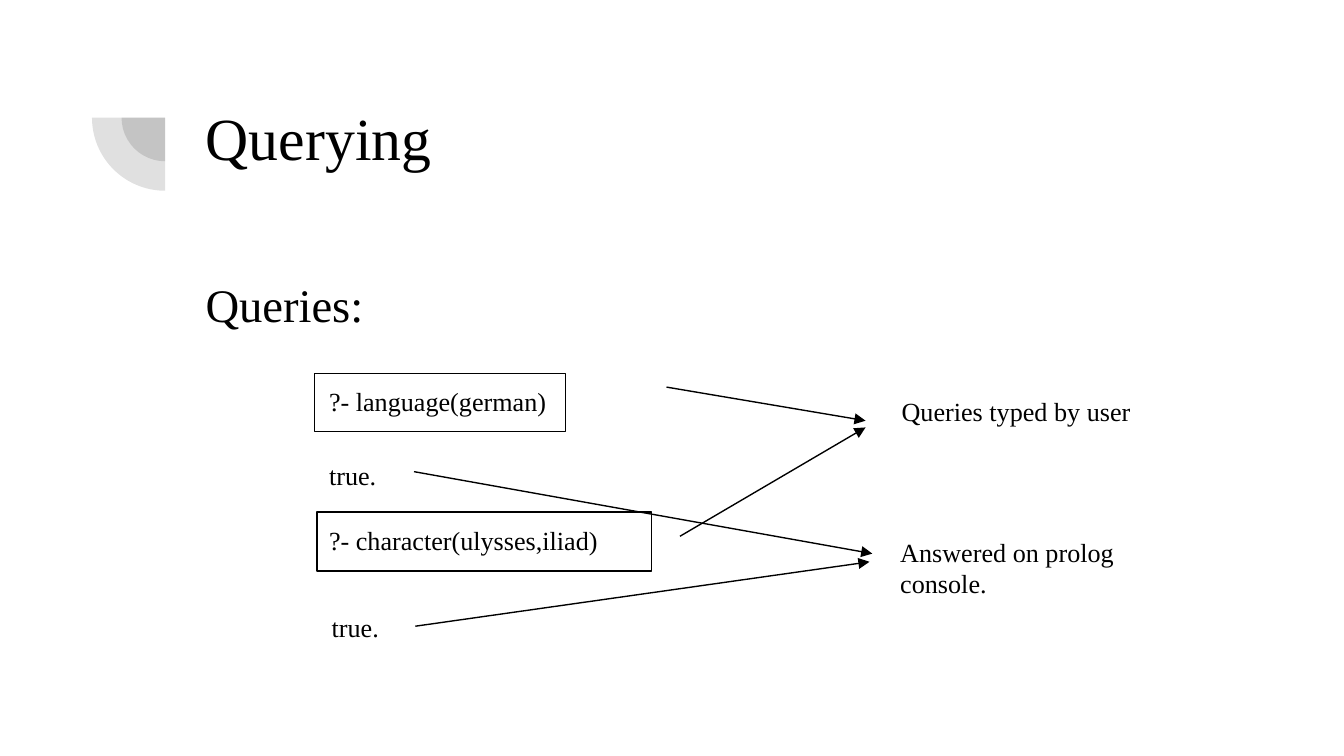
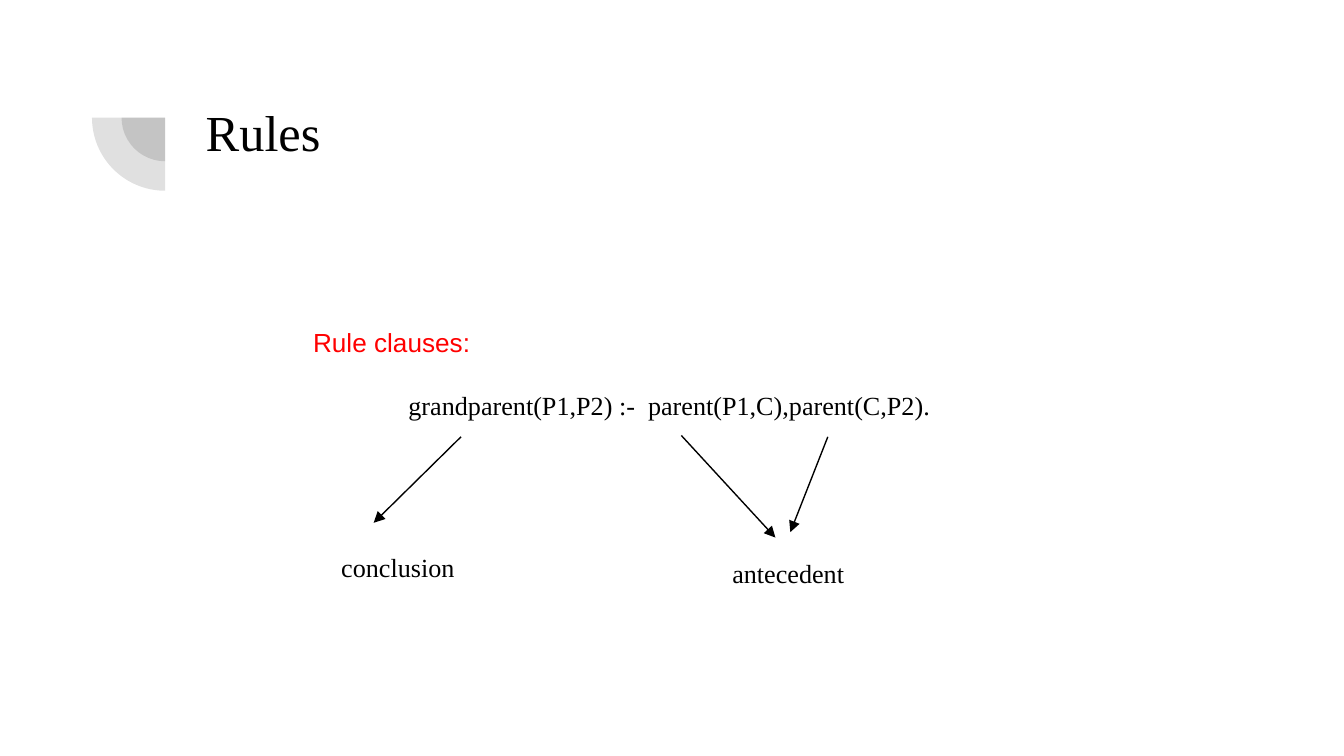
import pptx
import pptx.dml.color
import pptx.enum.shapes
import pptx.enum.text
import pptx.oxml.ns
import pptx.oxml.xmlchemy
import pptx.util

Pt = pptx.util.Pt
COLORS = {"black": "000000", "red": "FF0000"}
SERIF, SANS = "Times New Roman", "Arial"
INSET = 7.2
TITLE_BOX = (103, 46.8, 553.7, 78.5)
CORNER_CENTER, CORNER_RADII = (88.5, 63), (23.4, 39.2)
CORNER_OPACITY = 12

# Content: labels are (text, box), boxes are (left, top, width, height),
# arrows are (start, end)
SLIDES = [
    {
        "title": ("Querying", 32),
        "heading": ("Queries:", (103, 136.1, 553.7, 218.9)),
        "labels": [
            ("?- language(german)", (169.2, 199.4, 421.9, 31.7)),
            ("true.", (169.2, 239, 80.6, 31.7)),
            ("?- character(ulysses,iliad)", (169.2, 273.6, 177.8, 31.7)),
            ("true.", (170.6, 320.4, 67, 31.7)),
            ("Queries typed by user", (475.9, 204.5, 159.8, 31.7)),
            ("Answered on prolog console.", (475.2, 280.1, 175, 48.2)),
        ],
        "frames": [(168.5, 200.2, 134.6, 31), (169.9, 274.3, 179.3, 31.7)],
        "arrows": [
            ((357.1, 207.4), (463.7, 225.4)),
            ((364.3, 287.3), (463.7, 229)),
            ((221.8, 252.7), (467.3, 296.6)),
            ((222.5, 335.5), (465.8, 301)),
        ],
    },
    {
        "title": ("Rules", 27),
        "red_label": ("Rule clauses:", (160.6, 167.8, 135.4, 31.7)),
        "labels": [
            ("grandparent(P1,P2) :-  parent(P1,C),parent(C,P2).",
             (211.7, 201.6, 373.7, 65.5)),
            ("conclusion", (175.7, 288, 101.5, 31.7)),
            ("antecedent", (385.2, 291.6, 109.4, 31.7)),
        ],
        "arrows": [
            ((247, 234), (200.2, 280.1)),
            ((365, 233.3), (415.4, 288)),
            ((443.5, 234), (423.4, 285.1)),
        ],
    },
]


def color(name):
    return pptx.dml.color.RGBColor.from_string(COLORS[name])


def points(values):
    return [Pt(value) for value in values]


def add_element(parent, tag, **attributes):
    element = pptx.oxml.xmlchemy.OxmlElement(tag)
    for name, value in attributes.items():
        element.set(name, value)
    parent.append(element)


def write(shape, text, size, font=SERIF, color_name="black", spacing=1.0):
    frame = shape.text_frame
    frame.text = text
    frame.word_wrap = True
    frame.auto_size = pptx.enum.text.MSO_AUTO_SIZE.NONE
    frame.vertical_anchor = pptx.enum.text.MSO_ANCHOR.TOP
    frame.margin_left = frame.margin_right = Pt(INSET)
    frame.margin_top = frame.margin_bottom = Pt(INSET)
    paragraph = frame.paragraphs[0]
    paragraph.alignment = pptx.enum.text.PP_ALIGN.LEFT
    paragraph.line_spacing = spacing
    paragraph.space_before = Pt(0)
    paragraph.font.name = font
    paragraph.font.size = Pt(size)
    paragraph.font.color.rgb = color(color_name)


def add_label(slide, text, box, size=14, **style):
    write(slide.shapes.add_textbox(*points(box)), text, size, **style)


def add_title(slide, text, size):
    title = slide.shapes.title
    title.left, title.top, title.width, title.height = points(TITLE_BOX)
    write(title, text, size)


def add_corner(slide):
    """Two translucent quarter discs that share a centre."""
    x, y = CORNER_CENTER
    for radius in CORNER_RADII:
        pie = slide.shapes.add_shape(
            pptx.enum.shapes.MSO_SHAPE.PIE,
            *points((x - radius, y - radius, 2 * radius, 2 * radius)))
        # From 90 to 180 degrees; one degree is 0.6 adjustment units
        pie.adjustments[0], pie.adjustments[1] = 90 * 0.6, 180 * 0.6
        pie.shadow.inherit = False
        pie.line.fill.background()
        pie.fill.solid()
        pie.fill.fore_color.rgb = color("black")
        fill_color = pie._element.spPr.find(
            ".//" + pptx.oxml.ns.qn("a:srgbClr"))
        add_element(fill_color, "a:alpha", val=str(CORNER_OPACITY * 1000))


def set_line(line):
    line.color.rgb = color("black")
    line.width = Pt(0.75)


def add_frame(slide, box):
    frame = slide.shapes.add_shape(
        pptx.enum.shapes.MSO_SHAPE.RECTANGLE, *points(box))
    frame.shadow.inherit = False
    frame.fill.background()
    set_line(frame.line)


def add_arrow(slide, start, end):
    arrow = slide.shapes.add_connector(
        pptx.enum.shapes.MSO_CONNECTOR.STRAIGHT, *points(start + end))
    set_line(arrow.line)
    properties = arrow._element.spPr
    add_element(properties.find(pptx.oxml.ns.qn("a:ln")),
                "a:tailEnd", type="triangle")
    add_element(properties, "a:effectLst")


def build_slide(presentation, content):
    slide = presentation.slides.add_slide(presentation.slide_layouts[5])
    add_corner(slide)
    add_title(slide, *content["title"])
    if "heading" in content:
        add_label(slide, *content["heading"], size=25, spacing=1.15)
    if "red_label" in content:
        add_label(slide, *content["red_label"], font=SANS, color_name="red")
    for text, box in content["labels"]:
        add_label(slide, text, box)
    for box in content.get("frames", []):
        add_frame(slide, box)
    for start, end in content["arrows"]:
        add_arrow(slide, start, end)


def main():
    presentation = pptx.Presentation()
    presentation.slide_width, presentation.slide_height = Pt(720), Pt(405)
    for content in SLIDES:
        build_slide(presentation, content)
    presentation.save("out.pptx")


if __name__ == "__main__":
    main()
